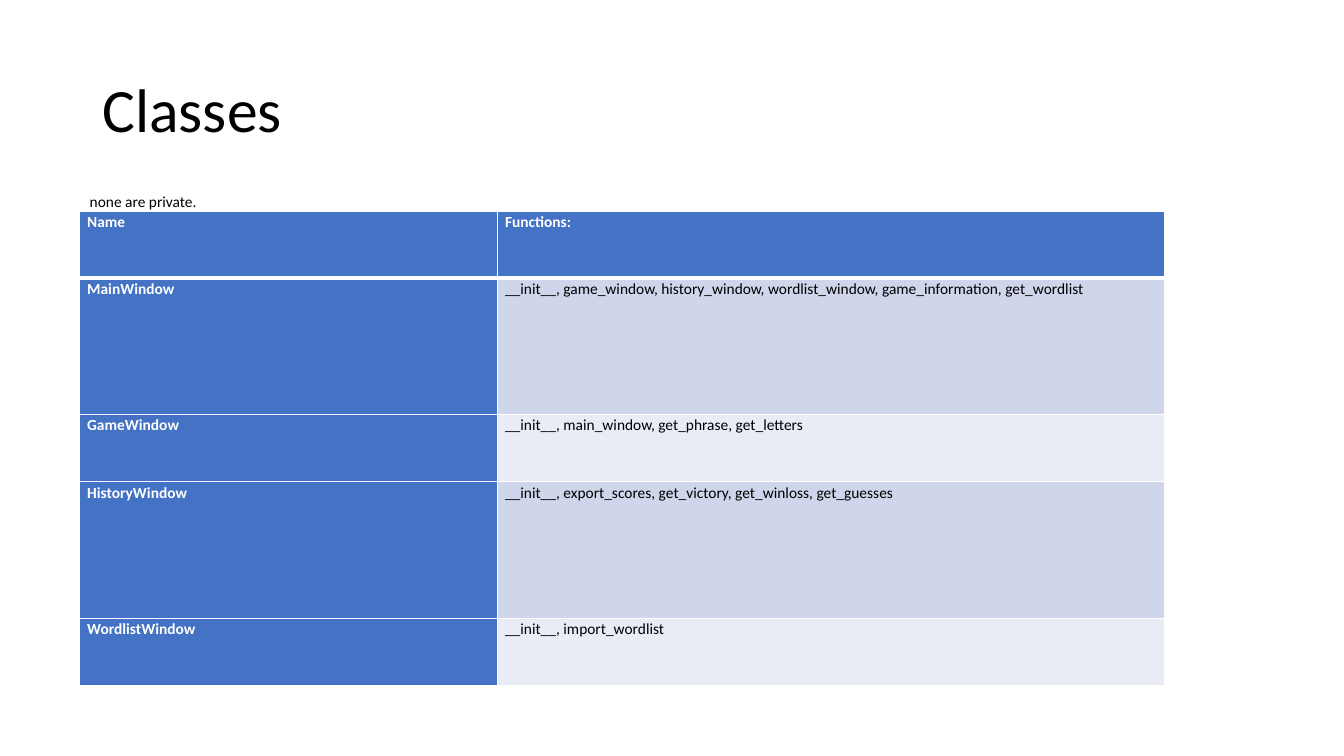
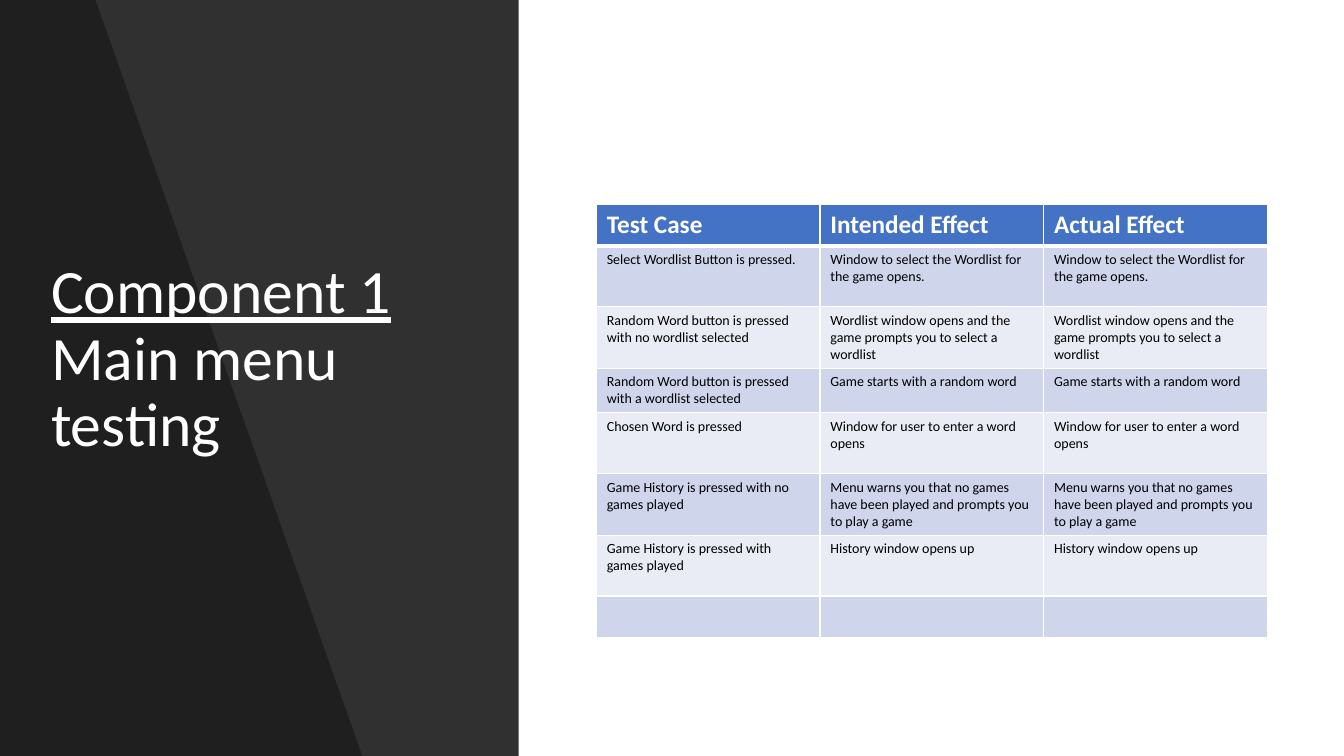
import dataclasses
import typing

import pptx
import pptx.dml.color
import pptx.enum.shapes
import pptx.enum.text
import pptx.oxml
import pptx.oxml.ns
import pptx.shapes.autoshape
import pptx.slide
import pptx.table
import pptx.text.text
import pptx.util

EMU_PER_PX = 9525
SLIDE_W, SLIDE_H = 1280, 720
FONT = "Calibri"
BLACK, WHITE = "000000", "FFFFFF"
HEADER_BLUE = "4472C4"
BANDS = ("CFD5EA", "E9EBF5")
TITLE_PT = 44
TITLE_SPACING = 0.9


@dataclasses.dataclass(frozen=True)
class Box:
    left: int
    top: int
    width: int
    height: int

    def emu(self) -> tuple[pptx.util.Emu, ...]:
        return tuple(px(length) for length in dataclasses.astuple(self))


@dataclasses.dataclass(frozen=True)
class Grid:
    left: int
    top: int
    columns: typing.Sequence[int]
    rows: typing.Sequence[int]
    texts: typing.Sequence[typing.Sequence[str]]
    header_pt: int
    body_pt: int
    margin_x: int = 10
    margin_y: int = 5
    line_spacing: float = 1.0
    names_first: bool = False


def px(length: int) -> pptx.util.Emu:
    return pptx.util.Emu(length * EMU_PER_PX)


def rgb(color: str) -> pptx.dml.color.RGBColor:
    return pptx.dml.color.RGBColor.from_string(color)


def format_runs(paragraph: pptx.text.text._Paragraph, size: int, color: str,
                bold: bool = False, spacing: float = 1.0) -> None:
    paragraph.line_spacing = spacing
    for run in paragraph.runs:
        run.font.name = FONT
        run.font.size = pptx.util.Pt(size)
        run.font.bold = bold
        run.font.color.rgb = rgb(color)


def place_title(slide: pptx.slide.Slide, box: Box, text: str,
                color: str) -> pptx.text.text._Paragraph:
    """Fill the title placeholder and bring it in front of what is drawn so far."""
    title = slide.shapes.title
    title.left, title.top, title.width, title.height = box.emu()
    frame = title.text_frame
    frame.text = text
    frame.word_wrap = True
    frame.auto_size = pptx.enum.text.MSO_AUTO_SIZE.NONE
    frame.vertical_anchor = pptx.enum.text.MSO_ANCHOR.MIDDLE
    heading = frame.paragraphs[0]
    heading.alignment = pptx.enum.text.PP_ALIGN.LEFT
    format_runs(heading, TITLE_PT, color, spacing=TITLE_SPACING)
    title.element.getparent().append(title.element)
    return heading


def paint(shape: pptx.shapes.autoshape.Shape, color: str, opacity: int = 100) -> None:
    shape.shadow.inherit = False
    shape.line.fill.background()
    shape.fill.solid()
    shape.fill.fore_color.rgb = rgb(color)
    if opacity < 100:
        tint = shape.element.find(".//" + pptx.oxml.ns.qn("a:srgbClr"))
        tint.append(pptx.oxml.parse_xml(
            f'<a:alpha {pptx.oxml.ns.nsdecls("a")} val="{opacity * 1000}"/>'))


def add_panel(slide: pptx.slide.Slide, box: Box, color: str, opacity: int = 100) -> None:
    panel = slide.shapes.add_shape(pptx.enum.shapes.MSO_SHAPE.RECTANGLE, *box.emu())
    paint(panel, color, opacity)


def add_borders(cell: pptx.table._Cell, row: int) -> None:
    """Rule a cell in white, with a heavier line below the header row."""
    widths = {"L": 1, "R": 1, "T": 3 if row == 1 else 1, "B": 3 if row == 0 else 1}
    properties = cell._tc.get_or_add_tcPr()
    for side, points in widths.items():
        properties.append(pptx.oxml.parse_xml(
            f'<a:ln{side} {pptx.oxml.ns.nsdecls("a")} w="{pptx.util.Pt(points)}">'
            f'<a:solidFill><a:srgbClr val="{WHITE}"/></a:solidFill></a:ln{side}>'))


def add_grid(slide: pptx.slide.Slide, grid: Grid) -> None:
    box = Box(grid.left, grid.top, sum(grid.columns), sum(grid.rows))
    table = slide.shapes.add_table(len(grid.rows), len(grid.columns), *box.emu()).table
    table.first_col = grid.names_first
    for column, width in zip(table.columns, grid.columns):
        column.width = px(width)
    for r, (row, height) in enumerate(zip(table.rows, grid.rows)):
        row.height = px(height)
        for c, cell in enumerate(row.cells):
            heading = r == 0 or (grid.names_first and c == 0)
            cell.margin_left = cell.margin_right = px(grid.margin_x)
            cell.margin_top = cell.margin_bottom = px(grid.margin_y)
            add_borders(cell, r)
            cell.fill.solid()
            cell.fill.fore_color.rgb = rgb(HEADER_BLUE if heading else BANDS[(r - 1) % 2])
            cell.text_frame.text = grid.texts[r][c]
            format_runs(cell.text_frame.paragraphs[0],
                        grid.header_pt if r == 0 else grid.body_pt,
                        WHITE if heading else BLACK, heading, grid.line_spacing)


def add_slide(deck: pptx.presentation.Presentation, background: str) -> pptx.slide.Slide:
    slide = deck.slides.add_slide(deck.slide_layouts.get_by_name("Title Only"))
    slide.background.fill.solid()
    slide.background.fill.fore_color.rgb = rgb(background)
    return slide


CLASSES = Grid(
    left=76, top=201, columns=(398, 635), rows=(64, 130, 64, 130, 64),
    header_pt=11, body_pt=11, margin_x=7, margin_y=0, line_spacing=1.07,
    names_first=True,
    texts=(
        ("Name", "Functions:"),
        ("MainWindow", "__init__, game_window, history_window, wordlist_window, "
                       "game_information, get_wordlist"),
        ("GameWindow", "__init__, main_window, get_phrase, get_letters"),
        ("HistoryWindow", "__init__, export_scores, get_victory, get_winloss, get_guesses"),
        ("WordlistWindow", "__init__, import_wordlist"),
    ),
)

# Each test had the effect that was intended.
TEST_EFFECTS = (
    ("Select Wordlist Button is pressed.",
     "Window to select the Wordlist for the game opens."),
    ("Random Word button is pressed with no wordlist selected",
     "Wordlist window opens and the game prompts you to select a wordlist"),
    ("Random Word button is pressed with a wordlist selected",
     "Game starts with a random word"),
    ("Chosen Word is pressed", "Window for user to enter a word opens"),
    ("Game History is pressed with no games played",
     "Menu warns you that no games have been played and prompts you to play a game"),
    ("Game History is pressed with games played", "History window opens up"),
    ("", ""),
)
MENU_TESTS = Grid(
    left=568, top=195, columns=(213,) * 3, rows=(39, 58, 58, 42, 58, 58, 58, 39),
    header_pt=18, body_pt=10,
    texts=(("Test Case", "Intended Effect", "Actual Effect"),
           *((case, effect, effect) for case, effect in TEST_EFFECTS)),
)


def build_classes(deck: pptx.presentation.Presentation) -> None:
    slide = add_slide(deck, WHITE)
    place_title(slide, Box(88, 38, 1104, 139), "Classes", BLACK)
    add_grid(slide, CLASSES)
    privacy_note = slide.shapes.add_textbox(*Box(76, 178, 1033, 28).emu()).text_frame
    privacy_note.text = "none are private."
    privacy_note.word_wrap = True
    privacy_note.auto_size = pptx.enum.text.MSO_AUTO_SIZE.SHAPE_TO_FIT_TEXT
    privacy_note.vertical_anchor = pptx.enum.text.MSO_ANCHOR.MIDDLE
    format_runs(privacy_note.paragraphs[0], 11, BLACK)


def build_menu_tests(deck: pptx.presentation.Presentation) -> None:
    slide = add_slide(deck, BLACK)
    add_panel(slide, Box(0, 0, SLIDE_W, SLIDE_H), WHITE)
    add_panel(slide, Box(0, 0, 494, SLIDE_H), BLACK, 81)
    outline = slide.shapes.build_freeform(0, 0, scale=EMU_PER_PX)
    outline.add_line_segments([(91, 0), (345, SLIDE_H), (0, SLIDE_H)], close=True)
    paint(outline.convert_to_shape(), BLACK, 35)
    heading = place_title(slide, Box(39, 67, 345, 552),
                          "Component 1\vMain menu testing", WHITE)
    heading.runs[0].font.underline = True
    add_grid(slide, MENU_TESTS)


def main() -> None:
    deck = pptx.Presentation()
    deck.slide_width, deck.slide_height = px(SLIDE_W), px(SLIDE_H)
    build_classes(deck)
    build_menu_tests(deck)
    deck.save("out.pptx")


if __name__ == "__main__":
    main()
